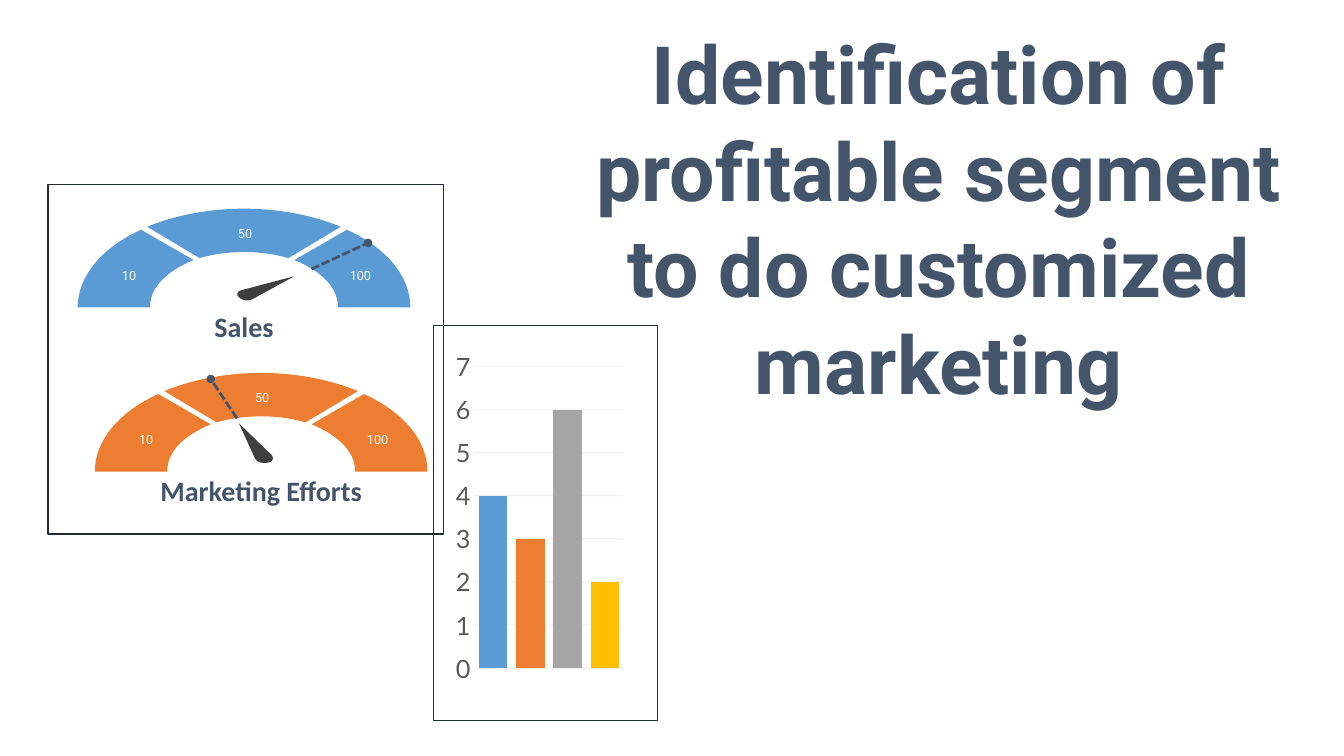
from dataclasses import dataclass
from typing import NamedTuple

from lxml.etree import SubElement
from pptx import Presentation
from pptx.chart.data import CategoryChartData
from pptx.dml.color import RGBColor as Color
from pptx.enum.chart import XL_CHART_TYPE as ChartType, XL_TICK_MARK as TickMark
from pptx.enum.dml import MSO_LINE_DASH_STYLE as Dash
from pptx.enum.shapes import MSO_CONNECTOR as Connector, MSO_SHAPE as Preset
from pptx.enum.text import MSO_AUTO_SIZE as AutoSize, PP_ALIGN as Align
from pptx.oxml import parse_xml
from pptx.oxml.ns import nsdecls, qn
from pptx.util import Inches, Pt

CELL = Inches(0.1)
COLUMNS, ROWS = 133.3, 75
CURVE_STEPS = 16


@dataclass(frozen=True)
class Theme:
    ink: str = "44546A"
    frame: str = "222A35"
    needle: str = "3F3E40"
    white: str = "FFFFFF"
    axis: str = "595959"
    grid: str = "808080"
    blue: str = "5B9BD5"
    orange: str = "ED7D31"
    gray: str = "A5A5A5"
    yellow: str = "FFC000"
    title_size: float = 57.5
    caption_size: float = 20
    axis_size: float = 18
    mark_size: float = 9
    title_font: str = "Roboto"
    caption_font: str = "Calibri"
    chart_font: str = "Lato"


THEME = Theme()


class Point(NamedTuple):
    column: float
    row: float


class Box(NamedTuple):
    column: float
    row: float
    columns: float
    rows: float

    def emu(self) -> list[int]:
        return [cells(value) for value in self]


class Style(NamedTuple):
    font: str
    size: float
    color: str
    bold: bool = False


class Outline(NamedTuple):
    start: Point
    segments: tuple


class Mark(NamedTuple):
    text: str
    box: Box


@dataclass(frozen=True)
class Gauge:
    caption: str
    caption_columns: float
    center: Point
    color: str
    needle: Outline
    pointer: tuple[Point, Point]


TITLE_STYLE = Style(THEME.title_font, THEME.title_size, THEME.ink, True)
CAPTION_STYLE = Style(THEME.caption_font, THEME.caption_size, THEME.ink, True)
MARK_STYLE = Style(THEME.title_font, THEME.mark_size, THEME.white)

LEFT_BAND = Outline(Point(-10.2, -7.7), (
    ((-14.2, -5.9), (-16.5, -3), (-16.5, 0)), ((-9.3, 0),),
    ((-9.4, -1.9), (-7.7, -3.6), (-5, -4.7))))
TOP_BAND = Outline(Point(9.6, -8), (
    ((3.8, -10.4), (-3.8, -10.4), (-9.6, -8)), ((-4.4, -4.9),),
    ((-1.7, -5.7), (1.7, -5.7), (4.4, -4.9))))
MARKS = (
    Mark("10", Box(-13.5, -4.4, 4.2, 2.5)),
    Mark("50", Box(-2, -8.6, 4.2, 2.5)),
    Mark("100", Box(8, -4.4, 7.1, 2.5)),
)
GAUGES = (
    Gauge("Sales", 19.5, Point(24.2, 30.5), THEME.blue,
          Outline(Point(-0.5, -1), (
              ((-0.2, -0.7), (0.4, -0.6), (0.8, -0.8)), ((5, -3.1),), ((-0.3, -1.7),),
              ((-0.7, -1.6), (-0.8, -1.2), (-0.5, -1)))),
          (Point(6.7, -3.8), Point(12.3, -6.4))),
    Gauge("Marketing Efforts", 26.7, Point(25.9, 46.8), THEME.orange,
          Outline(Point(0.7, -0.9), (
              ((1.1, -0.9), (1.3, -1.3), (1.1, -1.6)), ((-2.2, -4.8),), ((-0.6, -1.3),),
              ((-0.4, -0.9), (0.2, -0.8), (0.7, -0.9)))),
          (Point(-2.4, -5.3), Point(-5, -9.2))),
)


def cells(value: float) -> int:
    return round(value * CELL)


def shifted(point, center: Point) -> Point:
    return Point(center.column + point[0], center.row + point[1])


def mirrored(outline: Outline) -> Outline:
    return Outline(Point(-outline.start.column, outline.start.row), tuple(
        tuple((-x, y) for x, y in segment) for segment in outline.segments))


def cubic(controls: tuple, step: int) -> Point:
    t = step / CURVE_STEPS
    weights = ((1 - t) ** 3, 3 * t * (1 - t) ** 2, 3 * t * t * (1 - t), t ** 3)
    return Point(*(sum(w * c for w, c in zip(weights, axis)) for axis in zip(*controls)))


def extent_points(outline: Outline) -> list[Point]:
    points = [outline.start]
    for segment in outline.segments:
        if len(segment) == 1:
            points.append(Point(*segment[0]))
        else:
            controls = (points[-1], *segment)
            points += [cubic(controls, step) for step in range(1, CURVE_STEPS + 1)]
    return points


def draw_outline(shapes, outline: Outline, center: Point, color: str) -> None:
    points = [tuple(map(cells, shifted(point, center))) for point in extent_points(outline)]
    builder = shapes.build_freeform(*points[0])
    builder.add_line_segments(points[1:], close=True)
    shape = builder.convert_to_shape()
    curve = next(shape.element.iter(qn("a:path")))
    for command in list(curve):
        curve.remove(command)
    for index, segment in enumerate(((outline.start,), *outline.segments)):
        tag = "a:moveTo" if index == 0 else "a:lnTo" if len(segment) == 1 else "a:cubicBezTo"
        command = SubElement(curve, qn(tag))
        for point in segment:
            x, y = map(cells, shifted(point, center))
            SubElement(command, qn("a:pt"), x=str(x - shape.left), y=str(y - shape.top))
    SubElement(curve, qn("a:close"))
    shape.shadow.inherit = False
    shape.fill.solid()
    shape.fill.fore_color.rgb = Color.from_string(color)
    shape.line.fill.background()


def draw_text(shapes, box: Box, text: str, style: Style) -> None:
    frame = shapes.add_textbox(*box.emu()).text_frame
    frame.word_wrap = True
    frame.auto_size = AutoSize.SHAPE_TO_FIT_TEXT
    paragraph = frame.paragraphs[0]
    paragraph.alignment = Align.CENTER
    run = paragraph.add_run()
    run.text = text
    run.font.name, run.font.size, run.font.bold = style.font, Pt(style.size), style.bold
    run.font.color.rgb = Color.from_string(style.color)


def draw_frame(shapes, box: Box) -> None:
    shape = shapes.add_shape(Preset.RECTANGLE, *box.emu())
    shape.shadow.inherit = False
    shape.fill.background()
    shape.line.color.rgb = Color.from_string(THEME.frame)
    shape.line.width = Pt(1)


def draw_pointer(shapes, start: Point, end: Point) -> None:
    pointer = shapes.add_connector(Connector.STRAIGHT, *map(cells, (*start, *end)))
    pointer.line.color.rgb = Color.from_string(THEME.ink)
    pointer.line.width = Pt(2)
    pointer.line.dash_style = Dash.SQUARE_DOT
    properties = pointer.element.spPr
    SubElement(properties.find(qn("a:ln")), qn("a:tailEnd"), type="oval")
    SubElement(properties, qn("a:effectLst"))


def draw_gauge(shapes, gauge: Gauge) -> None:
    for band in (LEFT_BAND, mirrored(LEFT_BAND), TOP_BAND):
        draw_outline(shapes, band, gauge.center, gauge.color)
    draw_outline(shapes, gauge.needle, gauge.center, THEME.needle)
    draw_pointer(shapes, *(shifted(point, gauge.center) for point in gauge.pointer))
    corner = shifted((-gauge.caption_columns / 2, -0.3), gauge.center)
    draw_text(shapes, Box(*corner, gauge.caption_columns, 4.4), gauge.caption, CAPTION_STYLE)
    for mark in MARKS:
        corner = shifted(mark.box[:2], gauge.center)
        draw_text(shapes, Box(*corner, *mark.box[2:]), mark.text, MARK_STYLE)


def draw_chart(shapes, box: Box) -> None:
    data = CategoryChartData()
    data.categories = ["1", "2", "3", "4"]
    data.add_series("Series 1", (4, 3, 6, 2))
    chart = shapes.add_chart(ChartType.COLUMN_STACKED, *box.emu(), data).chart
    chart.has_legend = chart.has_title = False
    chart.font.name, chart.font.size = THEME.chart_font, Pt(THEME.axis_size)
    plot = chart.plots[0]
    plot.gap_width, plot.overlap, plot.vary_by_categories = 30, 100, False
    series = plot.series[0]
    fills = [series.format.fill, *(series.points[index].format.fill for index in (1, 2, 3))]
    for fill, color in zip(fills, (THEME.blue, THEME.orange, THEME.gray, THEME.yellow)):
        fill.solid()
        fill.fore_color.rgb = Color.from_string(color)
    chart.category_axis.visible = False
    axis = chart.value_axis
    axis.minimum_scale, axis.maximum_scale, axis.major_unit = 0, 7, 1
    axis.major_tick_mark = axis.minor_tick_mark = TickMark.NONE
    axis.format.line.fill.background()
    font = axis.tick_labels.font
    font.name, font.size = THEME.chart_font, Pt(THEME.axis_size)
    font.color.rgb = Color.from_string(THEME.axis)
    line = axis.major_gridlines.format.line
    line.width = Pt(1)
    line.color.rgb = Color.from_string(THEME.grid)
    area = chart._chartSpace.chart.plotArea
    grid_color = next(next(area.iter(qn("c:majorGridlines"))).iter(qn("a:srgbClr")))
    SubElement(grid_color, qn("a:alpha"), val="10000")
    for layout in area.findall(qn("c:layout")):
        area.remove(layout)
    shares = "".join(f'<c:{name} val="{share}"/>' for name, share in
                     (("x", 0.13), ("y", 0.06), ("w", 0.85), ("h", 0.87)))
    area.insert(0, parse_xml(
        f'<c:layout {nsdecls("c")}><c:manualLayout><c:layoutTarget val="inner"/>'
        f'<c:xMode val="edge"/><c:yMode val="edge"/>{shares}</c:manualLayout></c:layout>'))


def main() -> None:
    presentation = Presentation()
    presentation.slide_width, presentation.slide_height = cells(COLUMNS), cells(ROWS)
    slide = presentation.slides.add_slide(presentation.slide_layouts[6])
    draw_chart(slide.shapes, Box(44.8, 34.3, 17.4, 34.4))
    draw_frame(slide.shapes, Box(43, 32.3, 22.2, 39.2))
    draw_text(slide.shapes, Box(53.7, 1.9, 78.8, 39.7),
              "Identification of profitable segment to do customized marketing", TITLE_STYLE)
    dashboard = slide.shapes.add_group_shape().shapes
    for gauge in GAUGES:
        draw_gauge(dashboard, gauge)
    draw_frame(dashboard, Box(4.77, 18.3, 39.2, 34.7))
    presentation.save("out.pptx")


if __name__ == "__main__":
    main()
